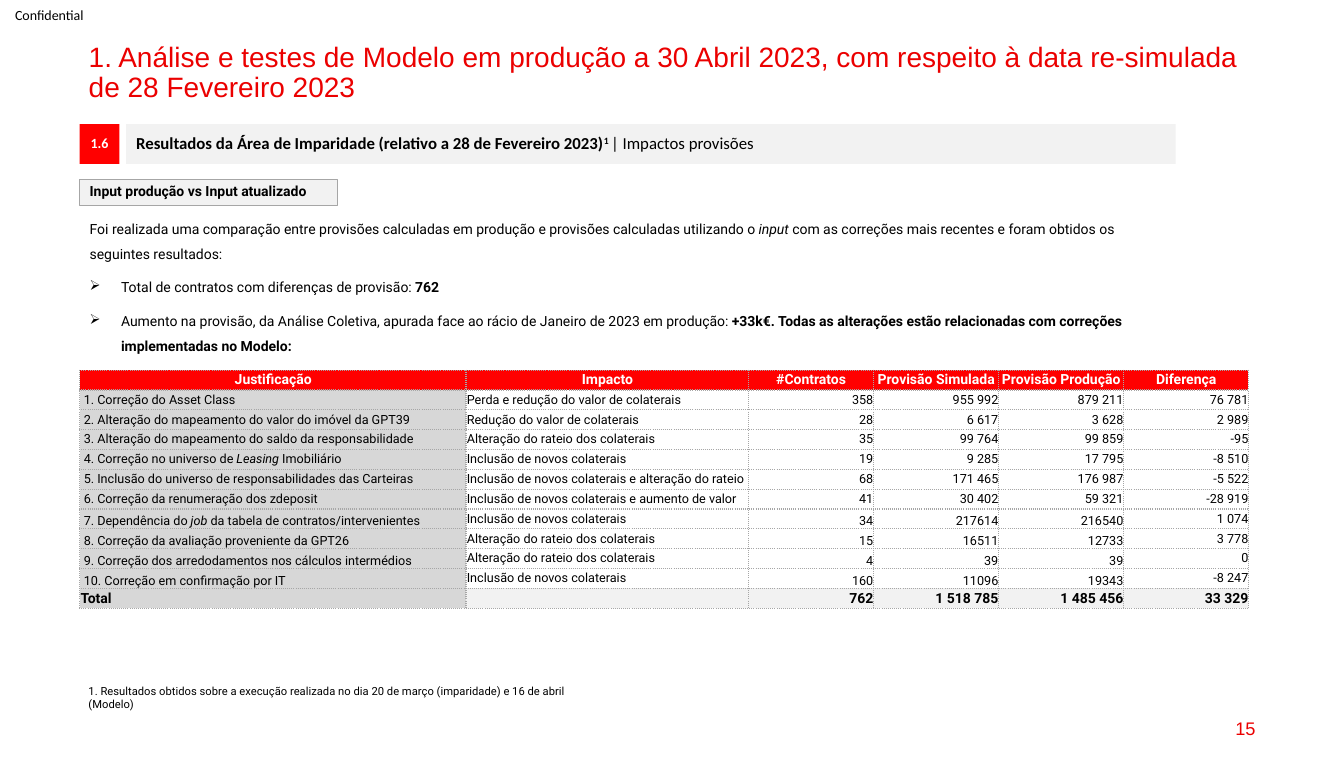
from lxml import etree
from pptx import Presentation
from pptx.dml.color import RGBColor
from pptx.enum import shapes, text
from pptx.oxml import ns
from pptx.util import Cm, Pt

COLORS = {
    "title": "EB0000", "accent": "FF0000", "ink": "000000", "white": "FFFFFF",
    "panel": "F2F2F2", "label": "D7D7D7", "rule": "A6A6A6",
}
LEFT, CENTER, RIGHT = text.PP_ALIGN.LEFT, text.PP_ALIGN.CENTER, text.PP_ALIGN.RIGHT
TOP, MIDDLE, BOTTOM = text.MSO_ANCHOR.TOP, text.MSO_ANCHOR.MIDDLE, text.MSO_ANCHOR.BOTTOM

HEADLINE = ("1. Análise e testes de Modelo em produção a 30 Abril 2023, "
            "com respeito à data re-simulada de 28 Fevereiro 2023")
INTRO = [
    ("Foi realizada uma comparação entre provisões calculadas em produção e "
     "provisões calculadas utilizando o ", ""),
    ("input", "i"),
    (" com as correções mais recentes e foram obtidos os seguintes resultados:", ""),
]
FINDINGS = [
    [("Total de contratos com diferenças de provisão: ", ""), ("762", "b")],
    [("Aumento na provisão, da Análise Coletiva, apurada face ao rácio de "
      "Janeiro de 2023 em produção: ", ""),
     ("+33k€. Todas as alterações estão relacionadas com correções "
      "implementadas no Modelo:", "b")],
]
HEADERS = ["Justificação", "Impacto", "#Contratos", "Provisão Simulada",
           "Provisão Produção", "Diferença"]
NEW = "Inclusão de novos colaterais"
SHARING = "Alteração do rateio dos colaterais"
CORRECTIONS = [
    ([("1. Correção do Asset Class", "")],
     "Perda e redução do valor de colaterais", "358", "955 992", "879 211", "76 781"),
    ([("2. Alteração do mapeamento do valor do imóvel da GPT39", "")],
     "Redução do valor de colaterais", "28", "6 617", "3 628", "2 989"),
    ([("3. Alteração do mapeamento do saldo da responsabilidade", "")],
     SHARING, "35", "99 764", "99 859", "-95"),
    ([("4. Correção no universo de ", ""), ("Leasing", "i"), (" Imobiliário", "")],
     NEW, "19", "9 285", "17 795", "-8 510"),
    ([("5. Inclusão do universo de responsabilidades das Carteiras", "")],
     NEW + " e alteração do rateio", "68", "171 465", "176 987", "-5 522"),
    ([("6. Correção da renumeração dos zdeposit", "")],
     NEW + " e aumento de valor", "41", "30 402", "59 321", "-28 919"),
    ([("7. Dependência do", ""), (" job", "i"),
      (" da tabela de contratos/intervenientes", "")],
     NEW, "34", "217614", "216540", "1 074"),
    ([("8. Correção da avaliação proveniente da GPT26", "")],
     SHARING, "15", "16511", "12733", "3 778"),
    ([("9. Correção dos arredodamentos nos cálculos intermédios", "")],
     SHARING, "4", "39", "39", "0"),
    ([("10. Correção em confirmação por IT", "")],
     NEW, "160", "11096", "19343", "-8 247"),
]
TOTALS = ["Total", "", "762", "1 518 785", "1 485 456", "33 329"]
FIRST_BOTTOM_ROW = 7


def rgb(name):
    return RGBColor.from_string(COLORS[name])


def write(paragraph, runs, font, size, color="ink", align=LEFT, spacing=None):
    paragraph.alignment = align
    if spacing:
        paragraph.line_spacing = spacing
    for content, style in runs:
        run = paragraph.add_run()
        run.text = content
        run.font.name = font
        run.font.size = Pt(size)
        run.font.bold = "b" in style
        run.font.italic = "i" in style
        run.font.color.rgb = rgb(color)
        if "^" in style:
            run._r.get_or_add_rPr().set("baseline", "30000")


def add_label(slide, box, runs, font, size, color="ink", align=LEFT, anchor=TOP):
    label = slide.shapes.add_textbox(*map(Cm, box))
    frame = label.text_frame
    frame.word_wrap = True
    frame.vertical_anchor = anchor
    write(frame.paragraphs[0], runs, font, size, color, align)
    return frame


def add_panel(slide, box, fill, runs, font, size, color="ink", align=LEFT, outline=None):
    panel = slide.shapes.add_shape(shapes.MSO_SHAPE.RECTANGLE, *map(Cm, box))
    panel.shadow.inherit = False
    panel.fill.solid()
    panel.fill.fore_color.rgb = rgb(fill)
    if outline:
        panel.line.color.rgb = rgb(outline)
        panel.line.width = Pt(0.75)
    else:
        panel.line.fill.background()
    panel.text_frame.word_wrap = True
    panel.text_frame.vertical_anchor = MIDDLE
    write(panel.text_frame.paragraphs[0], runs, font, size, color, align, 0.9)


def add_headline(slide):
    headline = slide.shapes.title
    headline.left, headline.top = Cm(1.98), Cm(0.97)
    headline.width, headline.height = Cm(29.9), Cm(0.86)
    frame = headline.text_frame
    frame.auto_size = text.MSO_AUTO_SIZE.NONE
    frame.word_wrap = True
    frame.vertical_anchor = TOP
    write(frame.paragraphs[0], [(HEADLINE, "")], "Arial", 20, "title", LEFT, 0.9)


def add_findings(slide):
    frame = add_label(slide, (2.01, 5.21, 26.67, 3.81), INTRO, "Roboto", 10)
    frame.paragraphs[0].line_spacing = 1.5
    for finding in FINDINGS:
        paragraph = frame.add_paragraph()
        properties = paragraph._p.get_or_add_pPr()
        properties.set("marL", str(Cm(0.79)))
        properties.set("indent", str(-Cm(0.79)))
        etree.SubElement(properties, ns.qn("a:buChar"), char="➢")
        paragraph.space_before = Pt(6)
        write(paragraph, finding, "Roboto", 10, spacing=1.5)


def add_borders(cell):
    properties = cell._tc.get_or_add_tcPr()
    for side in ("lnL", "lnR", "lnT", "lnB"):
        line = etree.SubElement(properties, ns.qn("a:" + side), w=str(Pt(1)))
        fill = etree.SubElement(line, ns.qn("a:solidFill"))
        etree.SubElement(fill, ns.qn("a:srgbClr"), val=COLORS["rule"])
        etree.SubElement(line, ns.qn("a:prstDash"), val="sysDot")


def fill_cell(cell, runs, fill, size, color="ink", align=LEFT, anchor=MIDDLE, inset=0.02):
    add_borders(cell)
    cell.fill.solid()
    cell.fill.fore_color.rgb = rgb(fill)
    cell.vertical_anchor = anchor
    cell.margin_left = Cm(inset)
    cell.margin_right = cell.margin_top = cell.margin_bottom = 0
    paragraph = cell.text_frame.paragraphs[0]
    if runs:
        write(paragraph, runs, "Roboto", size, color, align)
    else:
        etree.SubElement(paragraph._p, ns.qn("a:endParaRPr"), sz=str(size * 100))


def add_corrections_table(slide):
    widths = [9.73, 7.11] + [3.15] * 4
    row_count = len(CORRECTIONS) + 2
    row_height = 0.5
    table = slide.shapes.add_table(
        row_count, len(widths), Cm(2.01), Cm(9.33),
        Cm(sum(widths)), Cm(row_height * row_count)).table
    table.horz_banding = False
    for column, width in zip(table.columns, widths):
        column.width = Cm(width)
    for row in table.rows:
        row.height = Cm(row_height)
    for col, header in enumerate(HEADERS):
        fill_cell(table.cell(0, col), [(header, "b")], "accent", 10, "white", CENTER)
    for row, (reason, *values) in enumerate(CORRECTIONS, 1):
        anchor = BOTTOM if row >= FIRST_BOTTOM_ROW else MIDDLE
        fill_cell(table.cell(row, 0), reason, "label", 9, anchor=anchor, inset=0.1)
        for col, value in enumerate(values, 1):
            fill_cell(table.cell(row, col), [(value, "")], "white", 9,
                      align=RIGHT if col > 1 else LEFT,
                      anchor=anchor if 1 < col < 5 else MIDDLE)
    for col, total in enumerate(TOTALS):
        fill_cell(table.cell(row_count - 1, col), [(total, "b")] if total else [],
                  "panel" if col else "label", 10, align=RIGHT if col else LEFT)


def main():
    deck = Presentation()
    deck.slide_width, deck.slide_height = Cm(33.86), Cm(19.71)
    slide = deck.slides.add_slide(deck.slide_layouts[5])
    marking = add_label(slide, (0, 0, 2.51, 0.74), [("Confidential", "")],
                        "Calibri", 10, anchor=MIDDLE)
    marking.margin_left = Cm(0.38)
    marking.margin_right = marking.margin_top = marking.margin_bottom = 0
    add_headline(slide)
    add_label(slide, (24.26, 17.83, 7.62, 1.04), [("15", "")],
              "Arial", 13, "title", RIGHT, MIDDLE)
    add_panel(slide, (2.01, 3.13, 1, 1), "accent", [("1.6", "b")],
              "Calibri", 10, "white", CENTER)
    add_panel(slide, (3.18, 3.13, 26.44, 1), "panel",
              [("Resultados da Área de Imparidade (relativo a 28 de Fevereiro 2023)", "b"),
               ("1 ", "b^"), ("| Impactos provisões", "")], "Calibri", 12)
    add_findings(slide)
    add_panel(slide, (2.01, 4.53, 6.5, 0.64), "panel",
              [("Input produção vs Input atualizado", "b")], "Roboto", 10, outline="rule")
    add_corrections_table(slide)
    add_label(slide, (1.98, 17.12, 13.16, 0.61),
              [("1. Resultados obtidos sobre a execução realizada no dia 20 de março "
                "(imparidade) e 16 de abril (Modelo)", "")], "Roboto", 8)
    deck.save("out.pptx")


if __name__ == "__main__":
    main()
